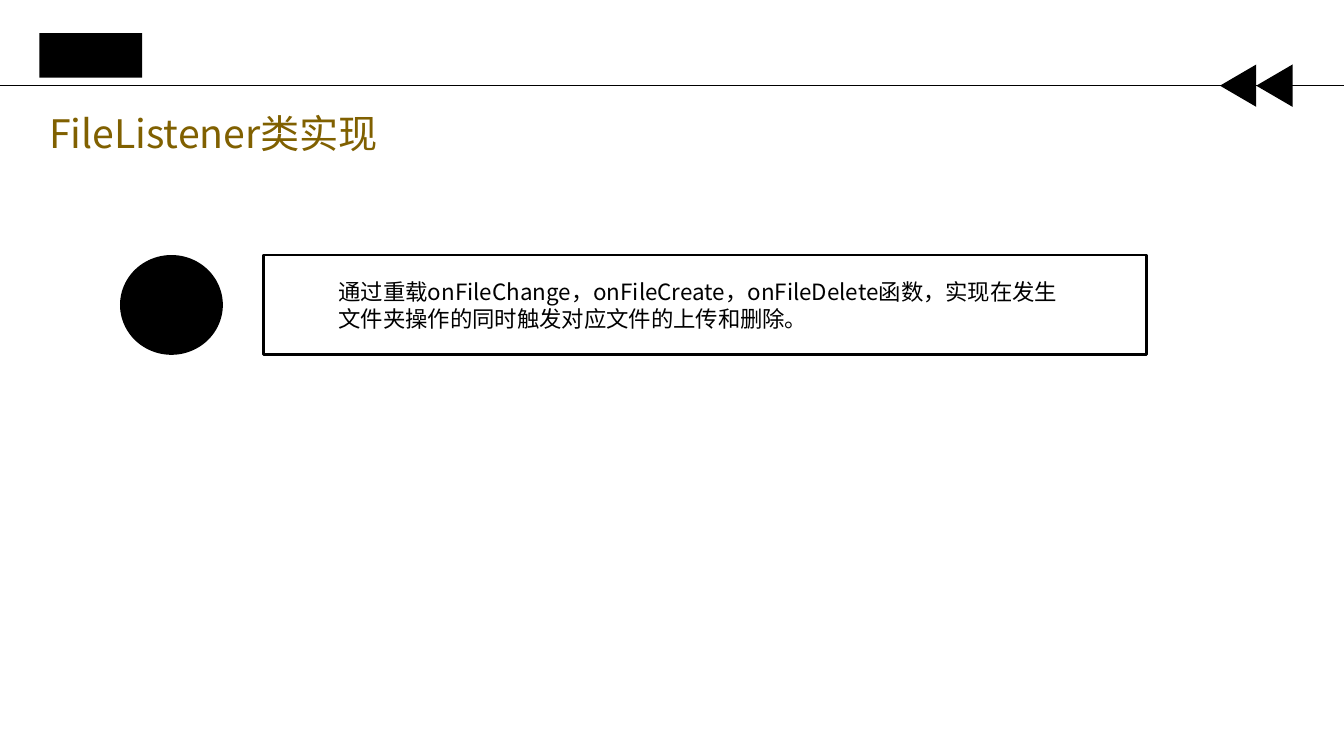
from dataclasses import dataclass

from lxml import etree
from pptx import Presentation
from pptx.dml.color import RGBColor
from pptx.enum.shapes import MSO_CONNECTOR, MSO_SHAPE
from pptx.enum.text import MSO_ANCHOR, PP_ALIGN
from pptx.oxml.ns import qn
from pptx.util import Inches, Pt

RECT, OVAL, TRIANGLE = MSO_SHAPE.RECTANGLE, MSO_SHAPE.OVAL, MSO_SHAPE.ISOSCELES_TRIANGLE
STRAIGHT = MSO_CONNECTOR.STRAIGHT
TOP, LEFT = MSO_ANCHOR.TOP, PP_ALIGN.LEFT

# Content
HEADING = "FileListener类实现"
SUMMARY = ("通过重载onFileChange，onFileCreate，onFileDelete函数，"
           "实现在发生文件夹操作的同时触发对应文件的上传和删除。")


@dataclass(frozen=True)
class Theme:
    font: str = "Noto Sans CJK SC"
    ink: str = "000000"
    paper: str = "FFFFFF"
    gold: str = "806000"
    heading_size: int = 28
    summary_size: int = 16
    rule_width: float = 0.5
    frame_width: float = 2


THEME = Theme()

# Layout in inches
SLIDE_W, SLIDE_H = 13.33, 7.5
MARGIN = 0.39
RULE_Y = 0.85
TAB_W, TAB_H = 1.02, 0.44
ARROW_BASE, ARROW_DEPTH = 0.42, 0.36
ARROWS_LEFT, ARROW_COUNT = 12.1, 2
ROW_TOP, ROW_H = 2.53, 0.99
BULLET_LEFT, FRAME_LEFT, FRAME_W = 1.19, 2.61, 8.76

prs = Presentation()
prs.slide_width, prs.slide_height = Inches(SLIDE_W), Inches(SLIDE_H)
blank = prs.slide_layouts[6]
slide = prs.slides.add_slide(blank)


def add_block(kind, box, fill=THEME.ink, line=None, rotation=0):
    block = slide.shapes.add_shape(kind, *map(Inches, box))
    block.shadow.inherit = False
    block.rotation = rotation
    block.fill.solid()
    block.fill.fore_color.rgb = RGBColor.from_string(fill)
    if line:
        block.line.color.rgb = RGBColor.from_string(line)
        block.line.width = Pt(THEME.frame_width)
    else:
        block.line.fill.background()


def add_words(words, box, size, color):
    frame = slide.shapes.add_textbox(*map(Inches, box)).text_frame
    for name, value in {"word_wrap": True, "vertical_anchor": TOP}.items():
        setattr(frame, name, value)
    paragraph = frame.paragraphs[0]
    paragraph.alignment = LEFT
    run = paragraph.add_run()
    run.text = words
    for name, value in {"size": Pt(size), "name": THEME.font}.items():
        setattr(run.font, name, value)
    run.font.color.rgb = RGBColor.from_string(color)
    # East Asian typeface for the Chinese characters
    etree.SubElement(run.font._element, qn("a:ea"), typeface=THEME.font)


# Heading
add_words(HEADING, (MARGIN, 1.04, 3.49, 0.57), THEME.heading_size, THEME.gold)

# Framed summary with its round bullet
add_block(RECT, (FRAME_LEFT, ROW_TOP, FRAME_W, ROW_H), THEME.paper, THEME.ink)
add_block(OVAL, (BULLET_LEFT, ROW_TOP, TAB_W, ROW_H))
add_words(SUMMARY, (3.26, 2.71, 7.46, 1.08), THEME.summary_size, THEME.ink)

# Header rule
rule = slide.shapes.add_connector(
    STRAIGHT, 0, Inches(RULE_Y), Inches(SLIDE_W), Inches(RULE_Y))
rule.line.color.rgb = RGBColor.from_string(THEME.ink)
rule.line.width = Pt(THEME.rule_width)
etree.SubElement(rule._element.spPr, qn("a:effectLst"))

# Left-pointing arrows: boxes are given before the quarter turn
for i in range(ARROW_COUNT):
    center = ARROWS_LEFT + (i + 0.5) * ARROW_DEPTH
    add_block(TRIANGLE, (center - ARROW_BASE / 2, RULE_Y - ARROW_DEPTH / 2,
                         ARROW_BASE, ARROW_DEPTH), rotation=270)

# Header tab
add_block(RECT, (MARGIN, 0.33, TAB_W, TAB_H))

prs.save("out.pptx")
